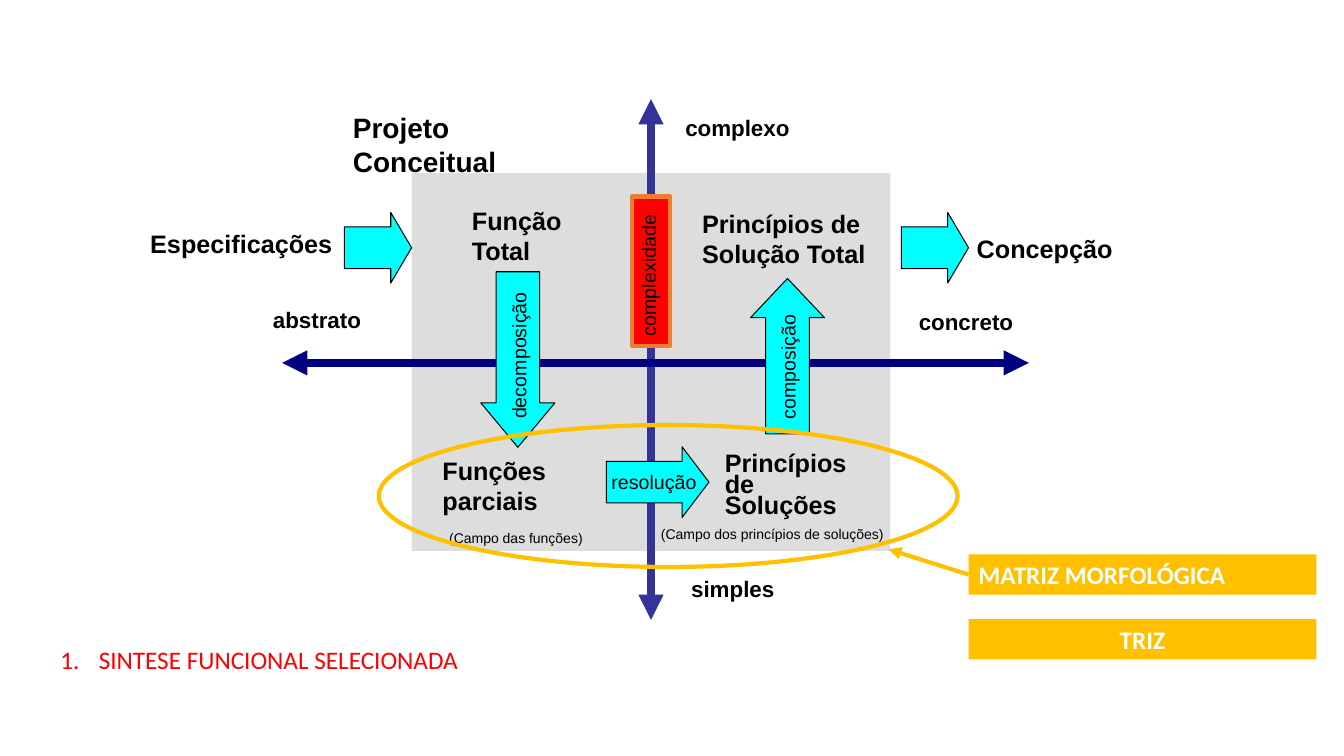
from lxml import etree
from pptx import Presentation
from pptx.dml.color import RGBColor
from pptx.enum.shapes import MSO_CONNECTOR, MSO_SHAPE
from pptx.enum.text import MSO_ANCHOR, MSO_AUTO_SIZE, PP_ALIGN
from pptx.oxml.ns import qn
from pptx.util import Inches, Pt

RECTANGLE = MSO_SHAPE.RECTANGLE
RIGHT_ARROW = MSO_SHAPE.RIGHT_ARROW
OVAL = MSO_SHAPE.OVAL
STRAIGHT = MSO_CONNECTOR.STRAIGHT
LEFT = PP_ALIGN.LEFT
CENTER = PP_ALIGN.CENTER
TOP = MSO_ANCHOR.TOP
MIDDLE = MSO_ANCHOR.MIDDLE
FIXED_SIZE = MSO_AUTO_SIZE.NONE

BLACK = RGBColor(0x00, 0x00, 0x00)
WHITE = RGBColor(0xFF, 0xFF, 0xFF)
GREY = RGBColor(0xDD, 0xDD, 0xDD)
CYAN = RGBColor(0x00, 0xFF, 0xFF)
RED = RGBColor(0xFF, 0x00, 0x00)
ORANGE = RGBColor(0xED, 0x7D, 0x31)
AMBER = RGBColor(0xFF, 0xC0, 0x00)
INDIGO = RGBColor(0x33, 0x33, 0x99)
NAVY = RGBColor(0x00, 0x00, 0x80)

presentation = Presentation()
presentation.slide_width = Inches(13.33)
presentation.slide_height = Inches(7.5)
slide = presentation.slides.add_slide(presentation.slide_layouts[1])
shapes = slide.shapes
COLUMN = presentation.slide_width / 160
ROW = presentation.slide_height / 90


def cells(left, top, width, height):
    return [round(left * COLUMN), round(top * ROW), round(width * COLUMN), round(height * ROW)]


def write(shape, text, size, bold=False, color=BLACK, font="Arial", align=LEFT, anchor=TOP):
    frame = shape.text_frame
    frame.text = text
    frame.word_wrap = True
    frame.auto_size = FIXED_SIZE
    frame.vertical_anchor = anchor
    paragraph = frame.paragraphs[0]
    paragraph.alignment = align
    paragraph.space_before = Pt(0)
    run_font = paragraph.runs[0].font
    run_font.name = font
    run_font.size = Pt(size)
    run_font.bold = bold
    run_font.color.rgb = color
    return paragraph


title = shapes.title
title.left, title.top, title.width, title.height = cells(40.8, 12.6, 21.4, 7.7)
write(title, "Projeto Conceitual", 20, bold=True)

selection = slide.placeholders[1]
selection.left, selection.top, selection.width, selection.height = cells(6, 76.1, 67.7, 4.8)
item = write(selection, "SINTESE FUNCIONAL SELECIONADA", 18, color=RED, font="Calibri")
properties = item._p.get_or_add_pPr()
properties.set("marL", str(Inches(0.38)))
properties.set("indent", str(-Inches(0.38)))
numbering = etree.SubElement(properties, qn("a:buFont"))
numbering.set("typeface", "+mj-lt")
numbering = etree.SubElement(properties, qn("a:buAutoNum"))
numbering.set("type", "arabicPeriod")

panel = shapes.add_shape(RECTANGLE, *cells(49, 20.6, 57, 45))
panel.shadow.inherit = False
panel.fill.solid()
panel.fill.fore_color.rgb = GREY
panel.line.fill.background()

callouts = []
for text, top, align in [("MATRIZ MORFOLÓGICA", 66, LEFT), ("TRIZ", 73.7, CENTER)]:
    callout = shapes.add_shape(RECTANGLE, *cells(115.3, top, 41.4, 4.8))
    callout.shadow.inherit = False
    callout.fill.solid()
    callout.fill.fore_color.rgb = AMBER
    callout.line.fill.background()
    write(callout, text, 18, True, WHITE, "Calibri", align, MIDDLE)
    callouts.append(callout)

for start, end, color, width, ends in [
    ((77.5, 11.8), (77.5, 73.8), INDIGO, 6, ("headEnd", "tailEnd")),
    ((33.6, 43.2), (122.5, 43.2), NAVY, 6, ("headEnd", "tailEnd")),
    ((115.3, 68.4), (105.8, 65.4), AMBER, 3, ("tailEnd",)),
]:
    connector = shapes.add_connector(STRAIGHT, *cells(*start, *end))
    connector.line.color.rgb = color
    connector.line.width = Pt(width)
    for end_name in ends:
        arrowhead = etree.SubElement(connector.line._get_or_add_ln(), qn("a:" + end_name))
        arrowhead.set("type", "triangle")
    etree.SubElement(connector._element.spPr, qn("a:effectLst"))
connector.begin_connect(callouts[0], 1)

for area, rotation, head in [
    ((51.2, 38.4, 20.9, 8.8), 90, 0.6),
    ((72.2, 53.2, 12.2, 8.4), 0, 0.38),
    ((84.5, 38, 18.5, 8.8), 270, 0.53),
    ((41, 25.3, 8, 8.4), 0, 0.31),
    ((107.3, 25.3, 8, 8.4), 0, 0.31),
]:
    arrow = shapes.add_shape(RIGHT_ARROW, *cells(*area))
    arrow.adjustments[0] = 0.59
    arrow.adjustments[1] = head
    arrow.rotation = rotation
    arrow.shadow.inherit = False
    arrow.fill.solid()
    arrow.fill.fore_color.rgb = CYAN
    arrow.line.color.rgb = BLACK
    arrow.line.width = Pt(0.75)

complexity = shapes.add_shape(RECTANGLE, *cells(68.6, 30, 17.8, 4.6))
complexity.rotation = 270
complexity.shadow.inherit = False
complexity.fill.solid()
complexity.fill.fore_color.rgb = RED
complexity.line.color.rgb = ORANGE
complexity.line.width = Pt(3)
write(complexity, "complexidade", 14)

for text, area, size, bold, rotation, spacing in [
    ("Função Total", (55, 23.8, 13.9, 8.4), 18, True, 0, 1.0),
    ("Funções parciais", (51.5, 53.6, 20.5, 8.4), 18, True, 0, 1.0),
    ("Princípios de Soluções", (85.1, 53.6, 18.2, 8.8), 18, True, 0, 0.7),
    ("Princípios de Solução Total", (82.4, 24.2, 22.8, 8.4), 18, True, 0, 1.0),
    ("Especificações", (16.7, 26.6, 24.4, 4.8), 18, True, 0, 1.0),
    ("Concepção", (115.1, 27.2, 19.1, 4.8), 18, True, 0, 1.0),
    ("complexo", (80.4, 13, 18.1, 4.4), 16, True, 0, 1.0),
    ("simples", (81.1, 67.9, 18.1, 4.4), 16, True, 0, 1.0),
    ("abstrato", (31.3, 35.8, 14.9, 4.4), 16, True, 0, 1.0),
    ("concreto", (108.2, 36.1, 16.6, 4.4), 16, True, 0, 1.0),
    ("decomposição", (52.7, 40, 18.1, 4), 14, False, 270, 1.0),
    ("resolução", (71.6, 55.4, 12.7, 4), 14, False, 0, 1.0),
    ("composição", (85.1, 40.4, 17.4, 4), 14, False, 270, 1.0),
    ("(Campo das funções)", (52.3, 62.4, 20.2, 3.2), 10, False, 0, 1.0),
    ("(Campo dos princípios de soluções)", (77.5, 62, 29.5, 3.2), 10, False, 0, 1.0),
]:
    label = shapes.add_textbox(*cells(*area))
    label.rotation = rotation
    paragraph = write(label, text, size, bold)
    paragraph.line_spacing = spacing

field = shapes.add_shape(OVAL, *cells(45.1, 50.6, 68.9, 16.9))
field.shadow.inherit = False
field.fill.background()
field.line.color.rgb = AMBER
field.line.width = Pt(3)

presentation.save("out.pptx")
